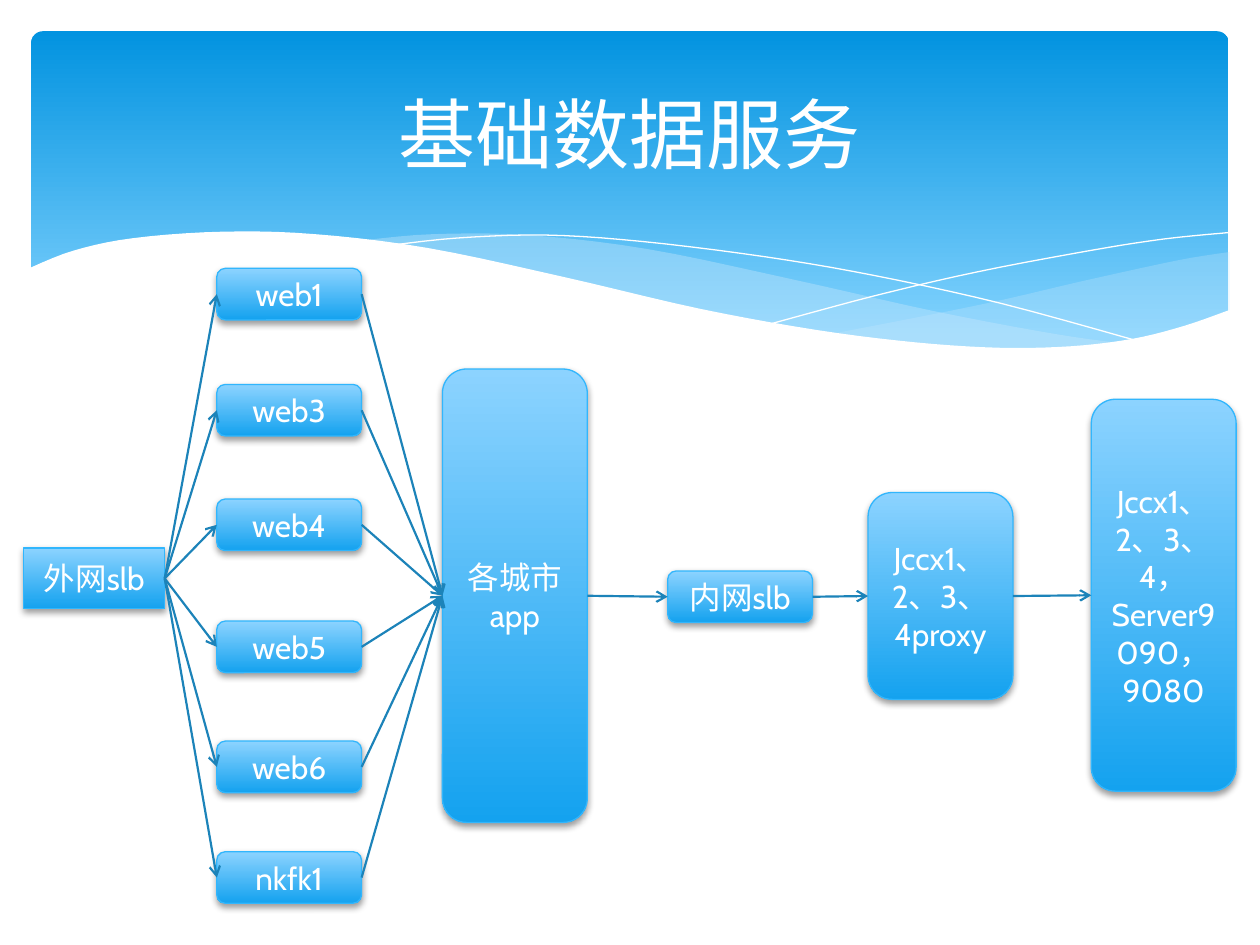
from lxml import etree
from pptx import Presentation
from pptx.dml.color import RGBColor
from pptx.enum.shapes import MSO_CONNECTOR, MSO_SHAPE
from pptx.enum.text import MSO_ANCHOR, PP_ALIGN
from pptx.oxml.ns import qn
from pptx.util import Cm, Pt

FONT = "Cabin"
WHITE, MIST, EDGE, ARROW = "FFFFFF", "C6E7FC", "31B6FD", "1C83B9"
LEFT_SITE, RIGHT_SITE = 1, 3

# Banner curves, in cm from the banner's top left corner
WAVE = [(-0.05, 4.78), (0.86, 4.42), (2.06, 4.17), (3.86, 4.04), (5.72, 4.09),
        (8, 4.37), (10.72, 4.95), (13.46, 5.59), (15.82, 6.02), (17.81, 6.27),
        (19.51, 6.38), (20.96, 6.35), (22.2, 6.2), (23.24, 5.94), (24.18, 5.61)]
RIGHT_MIST_TOP = [(24.16, 4.45), (23.11, 4.62), (21.23, 5.03), (19.15, 5.51), (16.15, 6.1)]
RIGHT_MIST_BOTTOM = [(16.15, 6.1), (17.63, 6.27), (19.2, 6.4), (20.57, 6.4),
                     (21.74, 6.3), (22.94, 6.05), (24.16, 5.64)]
LEFT_MIST_TOP = [(6.63, 4.22), (8.1, 4.09), (10.03, 4.11), (12.42, 4.39),
                 (15.34, 5), (18.19, 5.64), (20.62, 6.1), (22.05, 6.3)]
LEFT_MIST_BOTTOM = [(22.05, 6.3), (20.9, 6.4), (19.58, 6.43), (17.7, 6.32), (15.47, 5.99),
                    (12.83, 5.46), (10.21, 4.85), (8.05, 4.42), (6.63, 4.22)]
FALLING_LINE = [(7.21, 4.32), (8.59, 4.17), (10.36, 4.11), (12.32, 4.24),
                (14.81, 4.55), (17.02, 4.93), (19.56, 5.49), (22.4, 6.27)]
RISING_LINE = [(14.94, 5.89), (17.02, 5.33), (19.08, 4.85), (21.36, 4.42),
               (22.83, 4.19), (24.13, 4.06)]


def rgb(color):
    return RGBColor.from_string(color)


def smooth(points, steps=5):
    """Return a Catmull-Rom curve through the points as a dense polyline."""
    padded = [points[0], *points, points[-1]]
    curve = [points[0]]
    for a, b, c, d in zip(padded, padded[1:], padded[2:], padded[3:]):
        for step in range(1, steps + 1):
            t = step / steps
            curve.append(tuple(
                (2 * q + (r - p) * t + (2 * p - 5 * q + 4 * r - s) * t ** 2
                 + (3 * q - p - 3 * r + s) * t ** 3) / 2
                for p, q, r, s in zip(a, b, c, d)))
    return curve


def set_gradient(sp, top, bottom, end=1):
    sp.fill.gradient()
    sp.fill.gradient_angle = 270
    for stop, color, position in zip(sp.fill.gradient_stops, (top, bottom), (0, end)):
        stop.color.rgb = rgb(color)
        stop.position = position


def add_outline(slide, box, points, fill=None, alpha=None):
    """Draw a filled area, or an open white hairline when there is no fill."""
    pts = [(Cm(box[0] + x), Cm(box[1] + y)) for x, y in points]
    builder = slide.shapes.build_freeform(*pts[0])
    builder.add_line_segments(pts[1:], close=fill is not None)
    sp = builder.convert_to_shape()
    sp.shadow.inherit = False
    if fill is None:
        sp.fill.background()
        sp.line.color.rgb = rgb(WHITE)
        sp.line.width = Pt(0)
        return
    sp.fill.solid()
    sp.fill.fore_color.rgb = rgb(fill)
    sp.line.fill.background()
    if alpha:
        clr = sp._element.spPr.find(f"{qn('a:solidFill')}/{qn('a:srgbClr')}")
        etree.SubElement(clr, qn("a:alpha"), val=str(alpha * 1000))


def write(sp, text, size):
    tf = sp.text_frame
    tf.word_wrap = True
    tf.vertical_anchor = MSO_ANCHOR.MIDDLE
    p = tf.paragraphs[0]
    p.text = text
    p.alignment = PP_ALIGN.CENTER
    p.font.name = FONT
    p.font.size = Pt(size)
    p.font.color.rgb = rgb(WHITE)


def add_banner(slide, box, title):
    left, top, width, height = box
    sp = slide.shapes.add_shape(MSO_SHAPE.ROUNDED_RECTANGLE, *map(Cm, box))
    sp.adjustments[0] = 0.034
    sp.shadow.inherit = False
    sp.line.fill.background()
    set_gradient(sp, "0293E0", "83D3FE", 0.9)

    add_outline(slide, box, smooth(RIGHT_MIST_TOP) + smooth(RIGHT_MIST_BOTTOM), MIST, 29)
    add_outline(slide, box, smooth(LEFT_MIST_TOP) + smooth(LEFT_MIST_BOTTOM), MIST, 40)
    for line in (FALLING_LINE, RISING_LINE):
        add_outline(slide, box, smooth(line))
    floor = height + 0.86
    add_outline(slide, box, smooth(WAVE) + [(WAVE[-1][0], floor), (WAVE[0][0], floor)], WHITE)

    heading = slide.shapes.add_textbox(
        Cm(left + 0.64), Cm(top + 0.31), Cm(width - 1.28), Cm(3.48))
    write(heading, title, 44)


def add_node(slide, text, box, shape=MSO_SHAPE.ROUNDED_RECTANGLE):
    sp = slide.shapes.add_shape(shape, *map(Cm, box))
    set_gradient(sp, "8CD3FF", "14A2EF")
    sp.line.color.rgb = rgb(EDGE)
    sp.line.width = Pt(0.75)
    sp.shadow.inherit = False
    effects = sp._element.spPr.find(qn("a:effectLst"))
    shadow = etree.SubElement(effects, qn("a:outerShdw"), blurRad=str(Pt(4)),
                              dist=str(Pt(2)), dir="5400000", rotWithShape="0")
    clr = etree.SubElement(shadow, qn("a:srgbClr"), val="000000")
    etree.SubElement(clr, qn("a:alpha"), val="38000")
    write(sp, text, 18)
    return sp


def add_arrow(slide, source, target):
    line = slide.shapes.add_connector(MSO_CONNECTOR.STRAIGHT, 0, 0, 0, 0)
    line.begin_connect(source, RIGHT_SITE)
    line.end_connect(target, LEFT_SITE)
    line.line.color.rgb = rgb(ARROW)
    line.line.width = Pt(1.25)
    etree.SubElement(line.line._get_or_add_ln(), qn("a:tailEnd"), type="arrow")
    etree.SubElement(line._element.spPr, qn("a:effectLst"))


def add_flow(slide, box):
    left, top = box[:2]
    width, height = 2.92, 1.04

    def place(text, x, y, w=width, h=height, **options):
        return add_node(slide, text, (left + x, top + y, w, h), **options)

    outer_slb = place("外网slb", 0, 5.64, 2.84, 1.22, shape=MSO_SHAPE.RECTANGLE)
    webs = [place(name, 3.89, y) for name, y in (
        ("web1", 0), ("web3", 2.34), ("web4", 4.65),
        ("web5", 7.11), ("web6", 9.53), ("nkfk1", 11.76))]
    app = place("各城市app", 8.44, 2.03, h=9.14)
    inner_slb = place("内网slb", 12.98, 6.1)
    proxy = place("Jccx1、2、3、4proxy", 17.02, 4.52, h=4.17)
    server = place("Jccx1、2、3、4，Server9090，9080", 21.52, 2.64, h=7.9)

    links = [(outer_slb, web) for web in webs] + [(web, app) for web in webs]
    links += [(app, inner_slb), (inner_slb, proxy), (proxy, server)]
    for source, target in links:
        add_arrow(slide, source, target)


def main():
    prs = Presentation()
    prs.slide_width, prs.slide_height = Cm(25.4), Cm(19.05)
    slide = prs.slides.add_slide(prs.slide_layouts[6])
    add_banner(slide, (0.63, 0.63, 24.14, 6.86), "基础数据服务")
    add_flow(slide, (0.48, 5.41, 24.44, 12.8))
    prs.save("out.pptx")


if __name__ == "__main__":
    main()
